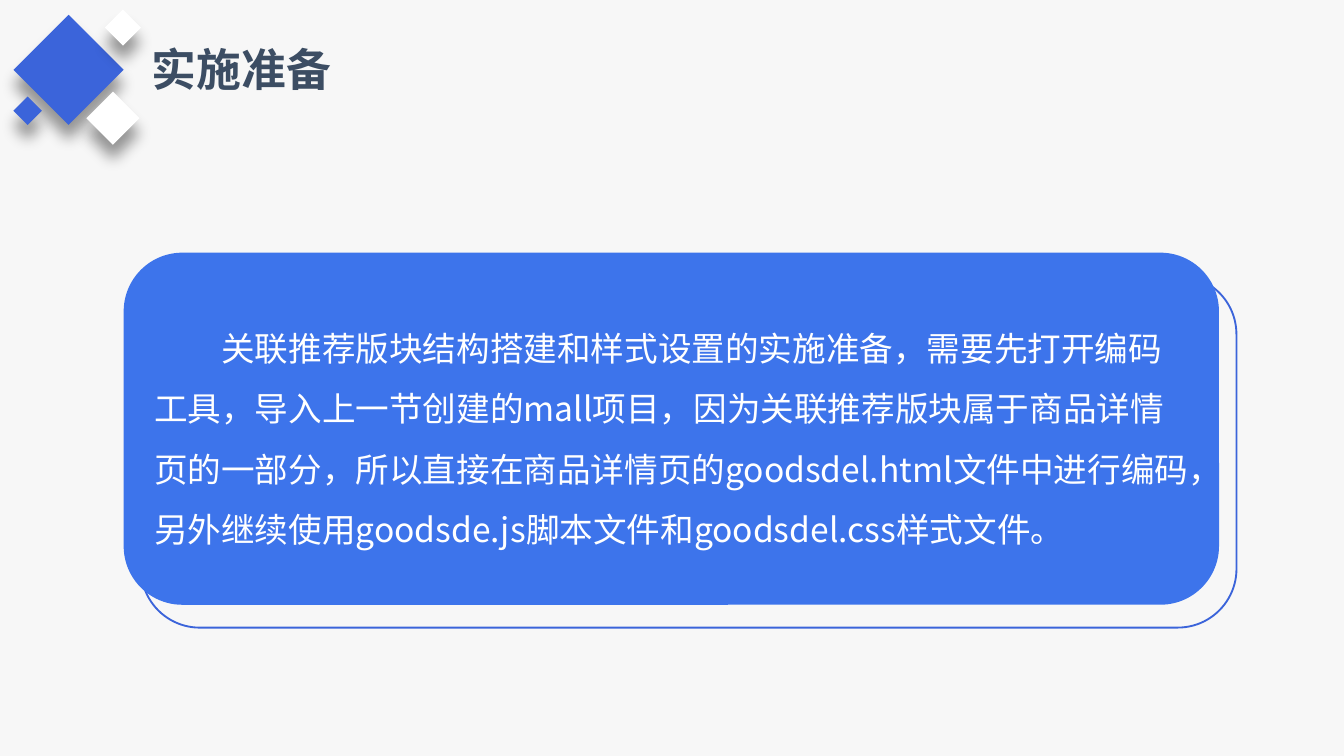
import pptx
import pptx.dml.color
import pptx.enum.shapes
import pptx.enum.text
import pptx.oxml
import pptx.oxml.ns
import pptx.util
from pptx.util import Inches

FONT = "Noto Sans CJK SC"
BLUE = "3B64DA"
WHITE = "FFFFFF"
SHAPE = pptx.enum.shapes.MSO_SHAPE
SHADOW = (
    f'<a:effectLst {pptx.oxml.ns.nsdecls("a")}>'
    '<a:outerShdw blurRad="101600" dist="101600" dir="5400000" algn="t" rotWithShape="0">'
    '<a:srgbClr val="000000"><a:alpha val="40000"/></a:srgbClr>'
    '</a:outerShdw></a:effectLst>'
)


def rgb(color):
    return pptx.dml.color.RGBColor.from_string(color)


def write(p, text, size, color, bold=False):
    """Fill a left-aligned paragraph, with the font for Latin and Chinese."""
    r = p.add_run()
    r.text = text
    p.alignment = pptx.enum.text.PP_ALIGN.LEFT
    p.font.size = pptx.util.Pt(size)
    p.font.bold = bold
    p.font.color.rgb = rgb(color)
    p.font.name = FONT
    latin = p._p.pPr.find(".//" + pptx.oxml.ns.qn("a:latin"))
    latin.addnext(pptx.oxml.parse_xml(
        f'<a:ea {pptx.oxml.ns.nsdecls("a")} typeface="{FONT}"/>'))


# Slide in the 16:9 format
prs = pptx.Presentation()
prs.slide_width = Inches(10)
prs.slide_height = Inches(10 * 9 / 16)
s = prs.slides.add_slide(prs.slide_layouts[5])
s.background.fill.solid()
s.background.fill.fore_color.rgb = rgb("F7F7F7")

# Title
title = s.shapes.title
title.left, title.top = Inches(1.03), Inches(0.26)
title.width, title.height = Inches(1.54), Inches(0.5)
tf = title.text_frame
tf.word_wrap = False
tf.auto_size = pptx.enum.text.MSO_AUTO_SIZE.NONE
tf.vertical_anchor = pptx.enum.text.MSO_ANCHOR.MIDDLE
write(tf.paragraphs[0], "实施准备", 24, "3C4D63", bold=True)

# Diamond ornament: squares turned by 45 degrees
for left, top, side, color in [
    (0.22, 0.23, 0.58, BLUE),
    (0.7, 0.74, 0.28, WHITE),
    (0.82, 0.11, 0.19, WHITE),
    (0.13, 0.75, 0.15, BLUE),
]:
    sp = s.shapes.add_shape(SHAPE.RECTANGLE, Inches(left), Inches(top),
                            Inches(side), Inches(side))
    sp.rotation = 45
    sp.fill.solid()
    sp.fill.fore_color.rgb = rgb(color)
    sp.line.fill.background()
    sp._element.spPr.append(pptx.oxml.parse_xml(SHADOW))

# Offset outline behind the card
outline = s.shapes.add_shape(SHAPE.ROUNDED_RECTANGLE, Inches(1.05), Inches(2.05),
                             Inches(8.15), Inches(2.62))
outline.shadow.inherit = False
outline.fill.background()
outline.line.color.rgb = rgb(BLUE)
outline.line.width = pptx.util.Pt(1)

# Card with the text
card = s.shapes.add_shape(SHAPE.ROUNDED_RECTANGLE, Inches(0.92), Inches(1.88),
                          Inches(8.15), Inches(2.62))
card.shadow.inherit = False
card.fill.solid()
card.fill.fore_color.rgb = rgb("3D74EB")
card.line.fill.background()
tf = card.text_frame
tf.word_wrap = True
tf.vertical_anchor = pptx.enum.text.MSO_ANCHOR.MIDDLE
p = tf.paragraphs[0]
write(p, "关联推荐版块结构搭建和样式设置的实施准备，需要先打开编码工具，"
         "导入上一节创建的mall项目，因为关联推荐版块属于商品详情页的一部分，"
         "所以直接在商品详情页的goodsdel.html文件中进行编码，"
         "另外继续使用goodsde.js脚本文件和goodsdel.css样式文件。", 18, WHITE)
p.line_spacing = 1.5
p._p.pPr.set("indent", str(Inches(0.5)))

prs.save("out.pptx")
